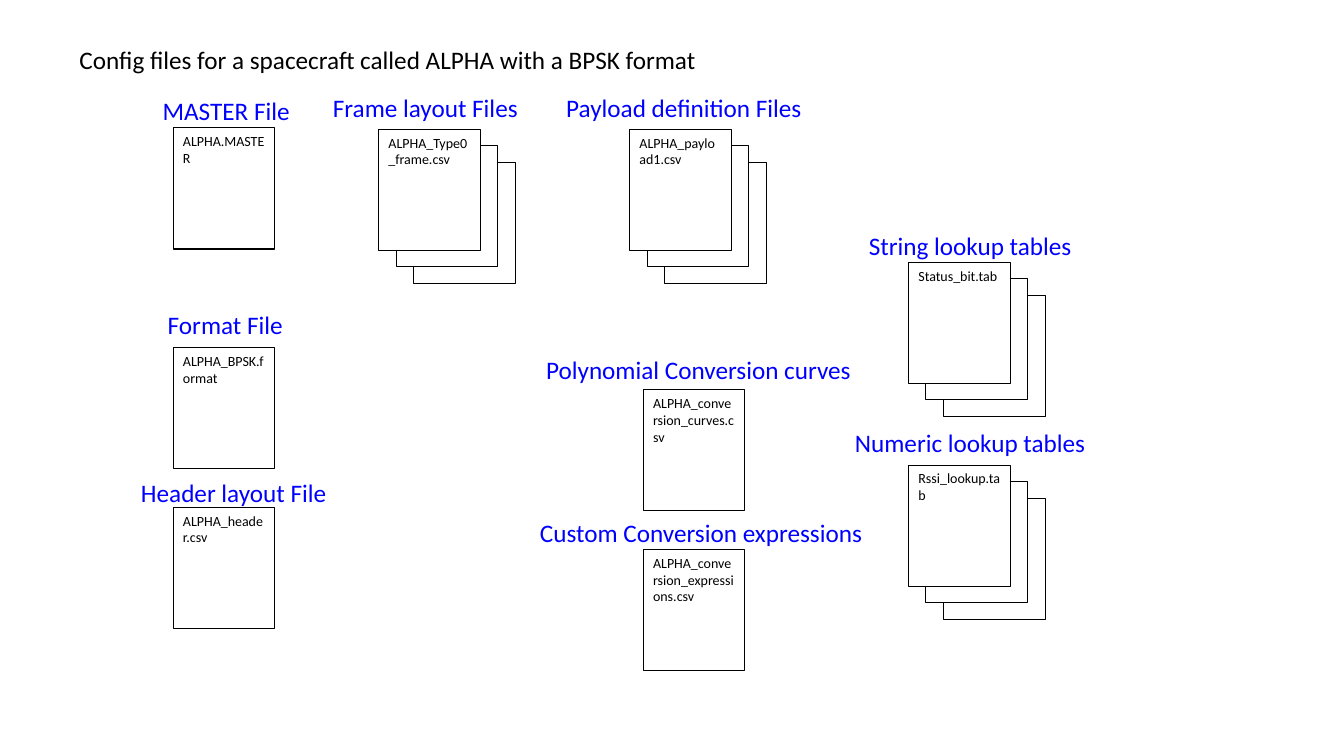
from pptx import Presentation
from pptx.enum import shapes, text
from pptx.dml import color
from pptx import util as u

COLORS = {"ink": "000000", "label": "0000FF", "paper": "FFFFFF"}
FONT = "Calibri"
PAGE_W, PAGE_H = 72.6, 86.5
STEP_X, STEP_Y = 12.5, 11.8
LABEL_H = 29

# label, label left, label top, label width, file name, page left, page top, pages
FILES = [
    ("MASTER File", 106.5, 64.3, 110.2, "ALPHA.MASTER", 123.6, 91.4, 1),
    ("Format File", 112.3, 217.6, 97.2, "ALPHA_BPSK.format", 123.6, 248.2, 1),
    ("Header layout File", 92.8, 337.2, 148.3, "ALPHA_header.csv", 123.6, 362.2, 1),
    ("Frame layout Files", 229.7, 62.3, 148.3, "ALPHA_Type0_frame.csv", 270.4, 92.2, 3),
    ("Payload definition Files", 396, 62.3, 185, "ALPHA_payload1.csv", 449.7, 92.2, 3),
    ("Polynomial Conversion curves", 381.6, 249.3, 234.7,
     "ALPHA_conversion_curves.csv", 459.4, 278.4, 1),
    ("Custom Conversion expressions", 377.3, 365.8, 247,
     "ALPHA_conversion_expressions.csv", 459.4, 392.4, 1),
    ("String lookup tables", 612.7, 161.3, 160.6, "Status_bit.tab", 648.9, 187.3, 3),
    ("Numeric lookup tables", 602.6, 301.7, 180.7, "Rssi_lookup.tab", 648.9, 332.2, 3),
]


def rgb(name):
    return color.RGBColor.from_string(COLORS[name])


def write(tf, content, size, ink="ink", align=text.PP_ALIGN.LEFT):
    p = tf.paragraphs[0]
    p.alignment = align
    r = p.add_run()
    r.text = content
    r.font.name = FONT
    r.font.size = u.Pt(size)
    r.font.color.rgb = rgb(ink)


def add_text(s, content, left, top, width, **style):
    sp = s.shapes.add_textbox(u.Pt(left), u.Pt(top), u.Pt(width), u.Pt(LABEL_H))
    tf = sp.text_frame
    tf.word_wrap = False
    tf.auto_size = text.MSO_AUTO_SIZE.SHAPE_TO_FIT_TEXT
    write(tf, content, 18, **style)


def add_page(s, left, top, name="", filled=True):
    sp = s.shapes.add_shape(shapes.MSO_SHAPE.RECTANGLE, u.Pt(left), u.Pt(top),
                            u.Pt(PAGE_W), u.Pt(PAGE_H))
    sp.shadow.inherit = False
    if filled:
        sp.fill.solid()
        sp.fill.fore_color.rgb = rgb("paper")
    else:
        sp.fill.background()
    sp.line.color.rgb = rgb("ink")
    sp.line.width = u.Pt(0.75)
    if name:
        tf = sp.text_frame
        tf.word_wrap = True
        tf.vertical_anchor = text.MSO_ANCHOR.TOP
        write(tf, name, 10)


def add_stack(s, name, left, top, pages):
    for i in reversed(range(pages)):
        add_page(s, left + i * STEP_X, top + i * STEP_Y,
                 name if i == 0 else "", filled=pages > 1)


def main():
    prs = Presentation()
    prs.slide_width, prs.slide_height = u.Pt(960), u.Pt(540)
    s = prs.slides.add_slide(prs.slide_layouts[6])
    add_text(s, "Config files for a spacecraft called ALPHA with a BPSK format",
             49.7, 28.4, 460.8)
    for label, x, y, width, name, left, top, pages in FILES:
        add_stack(s, name, left, top, pages)
        add_text(s, label, x, y, width, ink="label", align=text.PP_ALIGN.CENTER)
    prs.save("out.pptx")


main()
